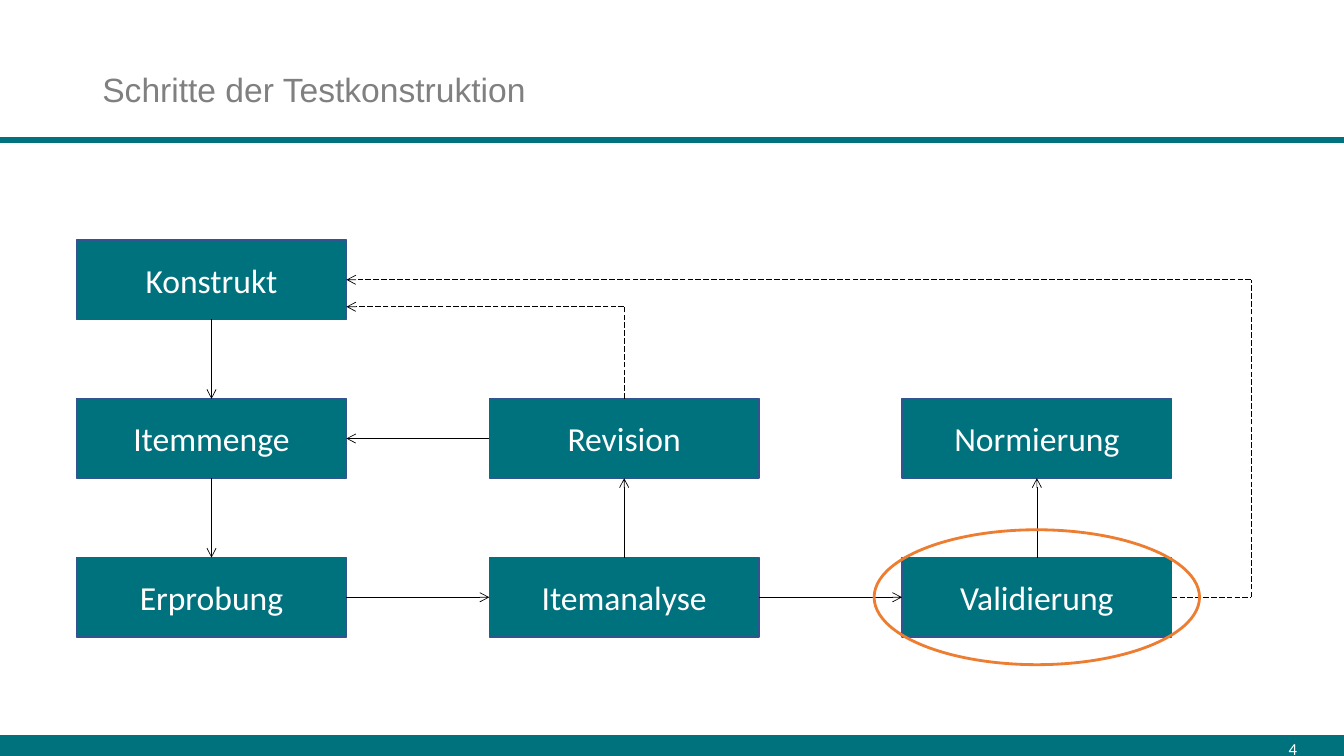
from pptx import Presentation
from pptx.dml.color import RGBColor
from pptx.enum.dml import MSO_LINE
from pptx.enum.shapes import MSO_CONNECTOR, MSO_SHAPE
from pptx.enum.text import MSO_ANCHOR, PP_ALIGN
from pptx.oxml import parse_xml
from pptx.oxml.ns import nsdecls
from pptx.util import Cm, Pt

COLORS = {
    "band": "00727D",
    "box": "00727E",
    "box_line": "325491",
    "title": "808080",
    "white": "FFFFFF",
    "arrow": "000000",
    "highlight": "ED7D31",
}

# Connection sites of a rectangle
TOP, LEFT, BOTTOM, RIGHT = range(4)

# Grid of the flow chart, in cm
SLIDE_WIDTH, SLIDE_HEIGHT = 33.87, 19.05
BOX_WIDTH, BOX_HEIGHT = 6.8, 2
GRID_LEFT, GRID_TOP = 1.93, 6.05
COLUMN_STEP, ROW_STEP = 10.4, 4


class SlideBuilder:
    def __init__(self, slide):
        self.slide = slide
        self.heading_font = "Arial"
        self.body_font = "Calibri"

    def color(self, name):
        return RGBColor.from_string(COLORS[name])

    def fill_text(self, shape, text, size, color, font, align):
        frame = shape.text_frame
        frame.word_wrap = True
        frame.vertical_anchor = MSO_ANCHOR.MIDDLE
        paragraph = frame.paragraphs[0]
        paragraph.alignment = align
        run = paragraph.add_run()
        run.text = text
        run.font.size = Pt(size)
        run.font.name = font
        run.font.color.rgb = self.color(color)

    def text(self, area, text, size, color, font, align=PP_ALIGN.LEFT):
        shape = self.slide.shapes.add_textbox(*map(Cm, area))
        self.fill_text(shape, text, size, color, font, align)

    def shape(self, kind, area, fill, line, line_width):
        shape = self.slide.shapes.add_shape(kind, *map(Cm, area))
        shape.shadow.inherit = False
        if fill:
            shape.fill.solid()
            shape.fill.fore_color.rgb = self.color(fill)
        else:
            shape.fill.background()
        shape.line.color.rgb = self.color(line)
        shape.line.width = Pt(line_width)
        return shape

    def box(self, label, column, row):
        area = (GRID_LEFT + column * COLUMN_STEP, GRID_TOP + row * ROW_STEP,
                BOX_WIDTH, BOX_HEIGHT)
        shape = self.shape(MSO_SHAPE.RECTANGLE, area, "box", "box_line", 1)
        self.fill_text(shape, label, 24, "white", self.body_font, PP_ALIGN.CENTER)
        return shape

    def line(self, start, end, color="arrow", width=0.5, dashed=False, arrow=False):
        connector = self.slide.shapes.add_connector(
            MSO_CONNECTOR.STRAIGHT, *map(Cm, (*start, *end)))
        connector.line.color.rgb = self.color(color)
        connector.line.width = Pt(width)
        if dashed:
            connector.line.dash_style = MSO_LINE.LONG_DASH
        properties = connector._element.spPr
        if arrow:
            properties.ln.append(parse_xml(f'<a:tailEnd {nsdecls("a")} type="arrow"/>'))
        properties.append(parse_xml(f'<a:effectLst {nsdecls("a")}/>'))
        return connector

    def link(self, source, source_site, target, target_site):
        connector = self.line((0, 0), (0, 0), arrow=True)
        connector.begin_connect(source, source_site)
        connector.end_connect(target, target_site)

    def feedback(self, *points):
        """Dashed path whose last segment carries the arrowhead."""
        last = len(points) - 2
        for index, (start, end) in enumerate(zip(points, points[1:])):
            self.line(start, end, dashed=True, arrow=index == last)


def main():
    presentation = Presentation()
    presentation.slide_width = Cm(SLIDE_WIDTH)
    presentation.slide_height = Cm(SLIDE_HEIGHT)
    builder = SlideBuilder(presentation.slides.add_slide(presentation.slide_layouts[6]))

    # Header and footer
    builder.line((0, 3.53), (SLIDE_WIDTH, 3.53), color="band", width=4.5)
    builder.shape(MSO_SHAPE.RECTANGLE, (0, 18.54, SLIDE_WIDTH, 0.61), "band", "band", 1)
    builder.text((2.33, 1, 29.21, 2.5), "Schritte der Testkonstruktion", 24,
                 "title", builder.heading_font)
    builder.text((25.32, 18.52, 7.62, 0.69), "4", 12, "white",
                 builder.body_font, PP_ALIGN.RIGHT)

    # Steps
    construct = builder.box("Konstrukt", 0, 0)
    item_pool = builder.box("Itemmenge", 0, 1)
    trial = builder.box("Erprobung", 0, 2)
    revision = builder.box("Revision", 1, 1)
    norming = builder.box("Normierung", 2, 1)
    item_analysis = builder.box("Itemanalyse", 1, 2)
    validation = builder.box("Validierung", 2, 2)

    # Main flow
    for connection in (
        (construct, BOTTOM, item_pool, TOP),
        (item_pool, BOTTOM, trial, TOP),
        (trial, RIGHT, item_analysis, LEFT),
        (item_analysis, TOP, revision, BOTTOM),
        (revision, LEFT, item_pool, RIGHT),
        (item_analysis, RIGHT, validation, LEFT),
        (validation, TOP, norming, BOTTOM),
    ):
        builder.link(*connection)

    # Feedback to the construct
    construct_right = GRID_LEFT + BOX_WIDTH
    construct_middle = GRID_TOP + BOX_HEIGHT / 2
    validation_right = construct_right + 2 * COLUMN_STEP
    validation_middle = construct_middle + 2 * ROW_STEP
    outer_x = validation_right + 2
    builder.feedback((validation_right, validation_middle), (outer_x, validation_middle),
                     (outer_x, construct_middle), (construct_right, construct_middle))

    revision_x = GRID_LEFT + COLUMN_STEP + BOX_WIDTH / 2
    lower_y = construct_middle + 0.68
    builder.feedback((revision_x, GRID_TOP + ROW_STEP), (revision_x, lower_y),
                     (construct_right, lower_y))

    # Highlight around the validation step
    builder.shape(MSO_SHAPE.OVAL, (22.03, 13.35, 8.2, 3.4), None, "highlight", 2)

    presentation.save("out.pptx")


if __name__ == "__main__":
    main()
